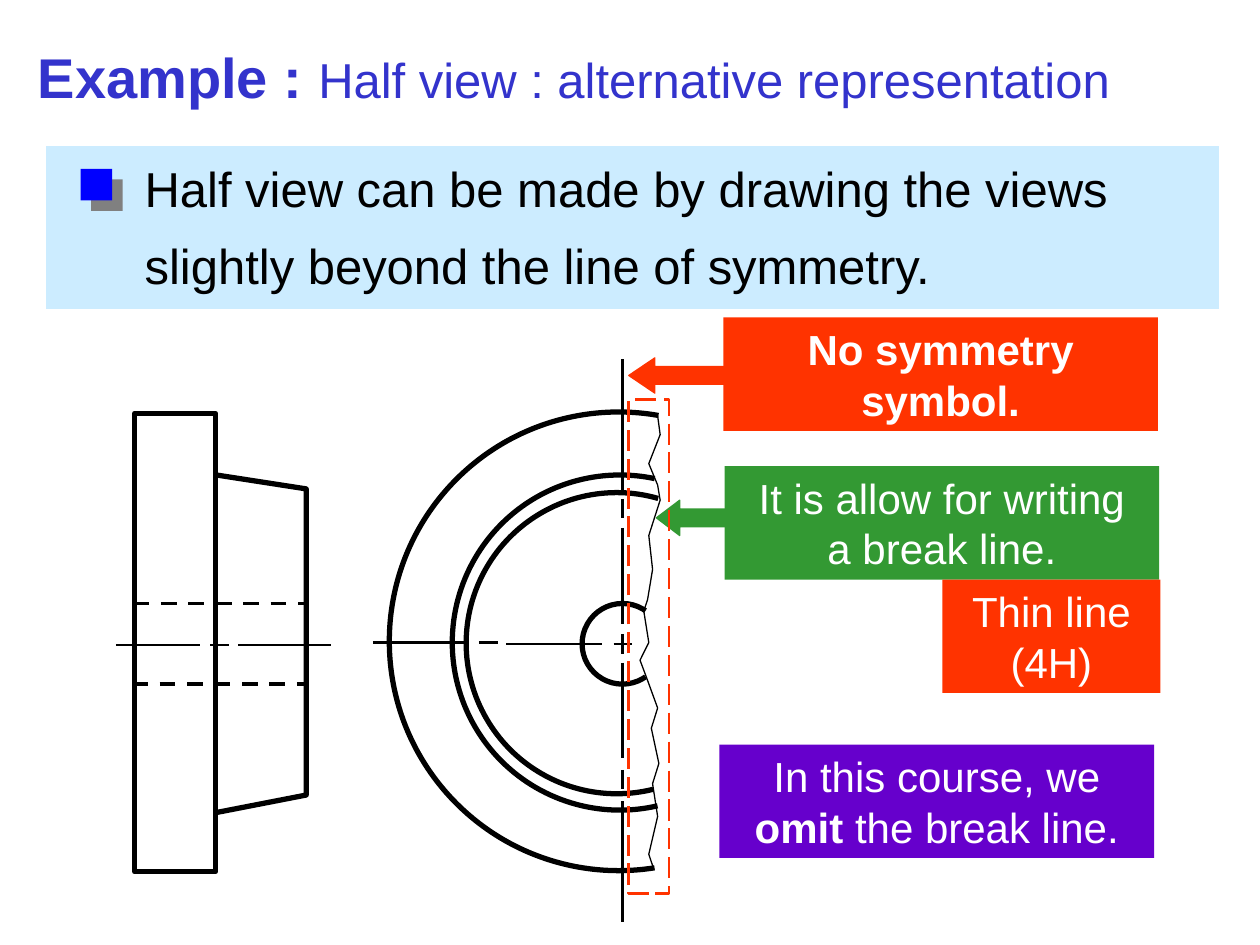
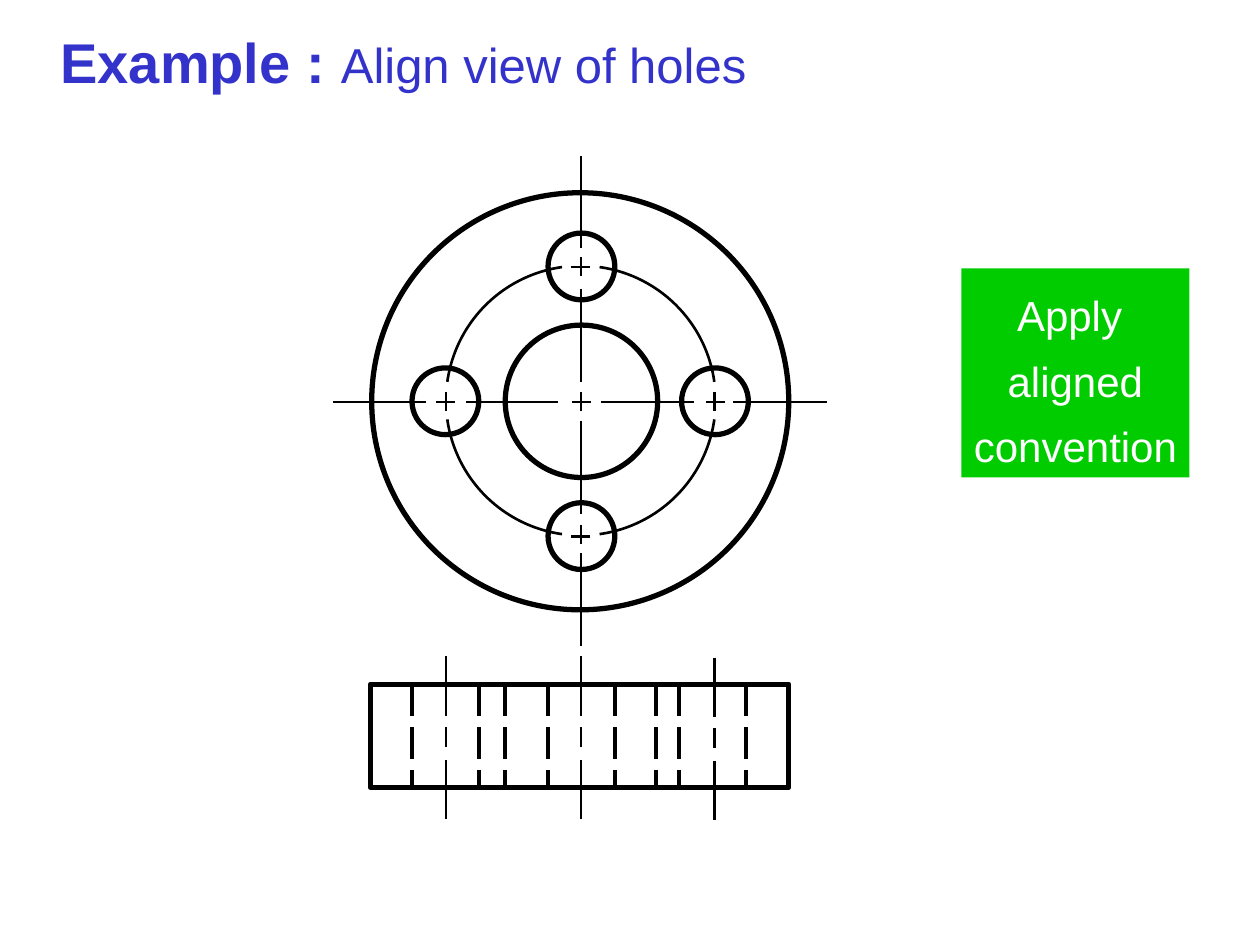
from lxml import etree
from pptx import Presentation
from pptx import util as u
from pptx.dml.color import RGBColor
from pptx.enum import dml, shapes, text
from pptx.oxml.ns import qn

PX = 9144
FONT = "Arial"
BLACK = RGBColor(0, 0, 0)
WHITE = RGBColor(255, 255, 255)
INDIGO = RGBColor(0x33, 0x33, 0xCC)
SKY = RGBColor(0xCC, 0xEC, 0xFF)
BLUE = RGBColor(0, 0, 255)
RED = RGBColor(0xFF, 0x33, 0)
GREEN = RGBColor(0x33, 0x99, 0x33)
LIME = RGBColor(0, 0xCC, 0)
PURPLE = RGBColor(0x66, 0, 0xCC)
KIND = shapes.MSO_SHAPE
DASH = dml.MSO_LINE.DASH
LONG = dml.MSO_LINE.LONG_DASH


def draw(page, kind, x, y, w, h, fill=None, edge=None, pt=3, adj=()):
    item = page.shapes.add_shape(kind, x * PX, y * PX, w * PX, h * PX)
    item.shadow.inherit = False
    if fill is None:
        item.fill.background()
    else:
        item.fill.solid()
        item.fill.fore_color.rgb = fill
    if edge is None:
        item.line.fill.background()
    else:
        item.line.color.rgb = edge
        item.line.width = u.Pt(pt)
    for n, value in enumerate(adj):
        item.adjustments[n] = value
    return item


def rule(page, x1, y1, x2, y2, pt=1.5, dash=None):
    line = page.shapes.add_connector(
        shapes.MSO_CONNECTOR.STRAIGHT, x1 * PX, y1 * PX, x2 * PX, y2 * PX)
    line.line.color.rgb = BLACK
    line.line.width = u.Pt(pt)
    if dash:
        line.line.dash_style = dash
    etree.SubElement(line._element.spPr, qn("a:effectLst"))


deck = Presentation()
deck.slide_width = 1000 * PX
deck.slide_height = 750 * PX

pages = []
for x, y, w, topic in (
    (20, 29, 920, "Half view : alternative representation"),
    (38, 17, 614, "Align view of holes"),
):
    page = deck.slides.add_slide(deck.slide_layouts[5])
    title = page.shapes.title
    title.left, title.top, title.width, title.height = x * PX, y * PX, w * PX, 64 * PX
    frame = title.text_frame
    frame.word_wrap = True
    frame.auto_size = text.MSO_AUTO_SIZE.NONE
    frame.vertical_anchor = text.MSO_ANCHOR.TOP
    para = frame.paragraphs[0]
    para.alignment = text.PP_ALIGN.LEFT
    para.font.name = FONT
    para.font.color.rgb = INDIGO
    for part, size, bold in (("Example : ", 32, True), (topic, 28, False)):
        run = para.add_run()
        run.text = part
        run.font.size = u.Pt(size)
        run.font.bold = bold
    pages.append(page)
half, holes = pages

draw(half, KIND.RECTANGLE, 36, 115, 932, 131, SKY, WHITE, 0.75)
draw(half, KIND.LEFT_ARROW, 499, 284, 82, 28, RED, RED, 0.75, (0.5, 0.74))
body = half.shapes.add_textbox(105 * PX, 107 * PX, 867 * PX, 132 * PX).text_frame
body.word_wrap = True
body.text = "Half view can be made by drawing the views\nslightly beyond the line of symmetry."
for para in body.paragraphs:
    para.line_spacing = 1.3
    para.font.name = FONT
    para.font.size = u.Pt(28)
    para.font.color.rgb = BLACK

mark = draw(half, KIND.RECTANGLE, 64, 134, 25, 25, BLUE)
glow = etree.SubElement(
    mark._element.spPr.find(qn("a:effectLst")), qn("a:outerShdw"),
    blurRad="0", dist=str(u.Pt(8.5)), dir="2700000", algn="ctr", rotWithShape="0")
etree.SubElement(glow, qn("a:srgbClr"), val="808080")

draw(half, KIND.RECTANGLE, 107, 328, 64, 364, None, BLACK)
taper = (172, 377), (243, 388), (243, 631), (171, 645)
tear = (
    (522, 330), (524, 345), (515, 368), (522, 385), (524, 397), (515, 425), (518, 452),
    (514, 476), (511, 485), (515, 510), (508, 524), (514, 540), (522, 562), (517, 578),
    (523, 606), (518, 622), (522, 648), (515, 678), (519, 690),
)
for dots, pt in ((taper, 3), (tear, 0.75)):
    form = half.shapes.build_freeform(*dots[0], scale=PX)
    form.add_line_segments(dots[1:], close=False)
    edge = form.convert_to_shape()
    edge.shadow.inherit = False
    edge.fill.background()
    edge.line.color.rgb = BLACK
    edge.line.width = u.Pt(pt)

for x, y, size, start, end in (
    (462, 479, 64, 55, 305),
    (370, 391, 239, 76, 286),
    (359, 377, 266, 77, 282),
    (309, 327, 364, 81, 280),
):
    draw(half, KIND.ARC, x, y, size, size, None, BLACK, 3, (start * 0.6, end * 0.6))

for x, y in ((106, 479), (105, 543)):
    rule(half, x, y, 243, y, 2.25, DASH)
for y, spans in (
    (512, ((92, 159), (167, 182), (189, 263))),
    (510, ((296, 372), (380, 395))),
    (511, ((402, 478), (487, 502))),
):
    for a, b in spans:
        rule(half, a, y, b, y)
for a, b in ((285, 389), (396, 411), (419, 495), (503, 519),
             (526, 602), (611, 626), (636, 732)):
    rule(half, 494, a, 494, b)

draw(half, KIND.LEFT_ARROW, 521, 397, 74, 28, GREEN, GREEN, 0.75, (0.5, 0.66))
zone = draw(half, KIND.RECTANGLE, 499, 317, 32, 392, None, RED, 1.5)
zone.line.dash_style = LONG

for x, y, size in ((295, 153, 331), (401, 258, 121), (541, 292, 53),
                   (327, 292, 53), (435, 185, 53), (435, 399, 53)):
    draw(holes, KIND.OVAL, x, y, size, size, None, BLACK)
for turn in range(0, 360, 90):
    draw(holes, KIND.ARC, 354, 211, 214, 214, None, BLACK, 1.5,
         ((turn + 8) * 0.6, (turn + 82) * 0.6))

for a, b in ((124, 197), (204, 219), (229, 303), (311, 326),
             (334, 408), (417, 432), (439, 513)):
    rule(holes, 461, a, 461, b)
for a, b in ((264, 338), (346, 361), (370, 443), (454, 469),
             (477, 551), (560, 575), (582, 656)):
    rule(holes, a, 319, b, 319)
for y in (212, 426):
    rule(holes, 453, y, 468, y)
for x in (354, 567):
    rule(holes, x, 311, x, 326)

draw(holes, KIND.RECTANGLE, 294, 543, 332, 82, None, BLACK)
for x in (327, 380, 401, 435, 488, 521, 539, 592):
    rule(holes, x, 543, x, 625, 2.25, LONG)
for x, drop in ((354, 0), (461, 0), (567, 1)):
    for a, b in ((521, 568), (577, 593), (603, 650)):
        rule(holes, x, a + drop, x, b + drop)

STRONG = "No symmetry symbol.", "omit "
for page, x, y, w, h, fill, space, wrap, lines in (
    (half, 574, 252, 345, 90, RED, 1, True, [["No symmetry symbol."]]),
    (half, 575, 370, 345, 90, GREEN, 1, True,
     [["It is allow for writing"], ["a break line."]]),
    (half, 571, 591, 345, 90, PURPLE, 1, True,
     [["In this course, we ", "omit ", "the break line."]]),
    (half, 748, 460, 173, 90, RED, 1, True, [["Thin line (4H)"]]),
    (holes, 763, 213, 181, 166, LIME, 1.3, False,
     [["Apply "], ["aligned"], ["convention"]]),
):
    frame = draw(page, KIND.RECTANGLE, x, y, w, h, fill).text_frame
    frame.word_wrap = wrap
    frame.vertical_anchor = text.MSO_ANCHOR.TOP
    for n, parts in enumerate(lines):
        para = frame.add_paragraph() if n else frame.paragraphs[0]
        para.alignment = text.PP_ALIGN.CENTER
        para.line_spacing = space
        para.font.name = FONT
        para.font.size = u.Pt(24)
        para.font.color.rgb = WHITE
        for part in parts:
            run = para.add_run()
            run.text = part
            run.font.bold = part in STRONG

deck.save("out.pptx")
